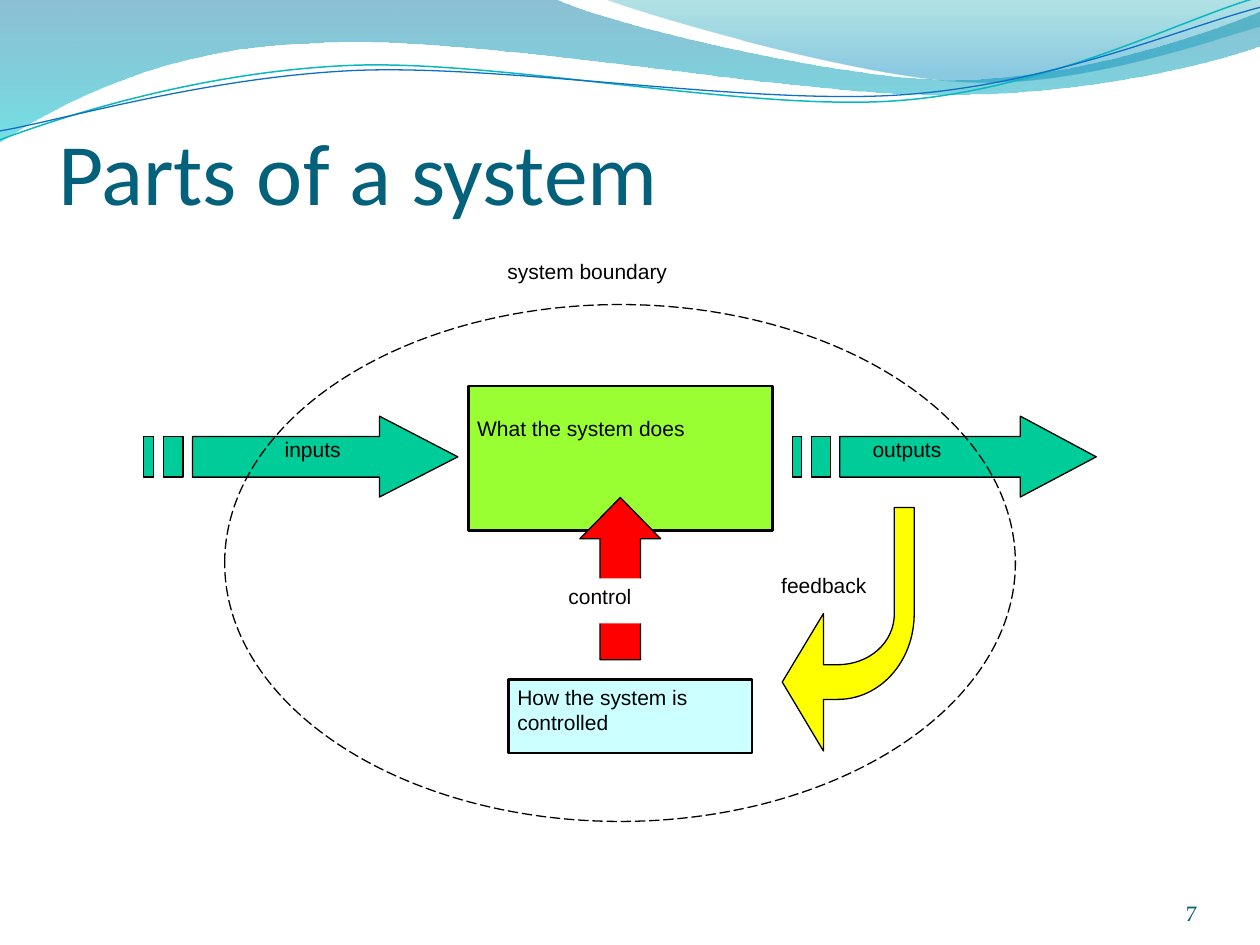
from pptx import Presentation
from pptx.dml.color import RGBColor
from pptx.enum.dml import MSO_LINE as Dash
from pptx.enum.shapes import MSO_SHAPE as Kind
from pptx.enum.text import MSO_ANCHOR as Anchor, MSO_AUTO_SIZE as Auto, PP_ALIGN as Align
from pptx.oxml.ns import qn
from pptx.util import Cm, Pt
from lxml import etree

deck = Presentation()
deck.slide_width, deck.slide_height = Cm(25.4), Cm(19.05)
slide = deck.slides.add_slide(deck.slide_layouts[5])
shapes = slide.shapes
rgb = RGBColor.from_string


def paint(shape, fill=None, line=None, width=0.75):
    shape.shadow.inherit = False
    if fill:
        shape.fill.solid()
        shape.fill.fore_color.rgb = rgb(fill)
    else:
        shape.fill.background()
    if line:
        shape.line.color.rgb = rgb(line)
        shape.line.width = Pt(width)
    else:
        shape.line.fill.background()
    return shape


def trace(*outlines, close=True):
    """Each outline lists points (x, y) and cubic curves (x1, y1, x2, y2, x, y) in cm."""
    pen, sizes = None, []
    for first, *steps in outlines:
        start = [Cm(v) for v in first]
        if pen is None:
            pen = shapes.build_freeform(*start)
        else:
            pen.move_to(*start)
        spots = []
        for step in steps:
            spots += [(Cm(x), Cm(y)) for x, y in zip(step[::2], step[1::2])]
            sizes.append(len(step) // 2)
        pen.add_line_segments(spots, close=close)
    shape = pen.convert_to_shape()
    # Join the three points of each curve into one cubic segment
    lines = iter(list(shape._element.iter(qn("a:lnTo"))))
    for size in sizes:
        group = [next(lines) for _ in range(size)]
        if size == 3:
            curve = etree.Element(qn("a:cubicBezTo"))
            group[0].addprevious(curve)
            for line in group:
                curve.append(line[0])
                line.getparent().remove(line)
    return shape


# Waves along the top
waves = [
    ([(0, 0), (11.18, -0.03), (12.09, 0.43, 16.87, 1.6, 19.25, 1.6),
      (21.67, 1.6, 24.33, 0.66, 25.4, 0.23), (25.43, 0.91),
      (24.97, 1.12, 22.1, 1.93, 18.95, 1.91), (15.8, 1.91, 9.7, 0.71, 6.53, 0.86),
      (3.28, 0.91, 1.17, 2.11, -0.03, 2.87)],
     [(0, "0074A1", 45), (1, "00C6CF", 55)]),
    ([(12.17, -0.03), (12.93, 0.28, 17.32, 1.57, 19.53, 1.65),
      (21.74, 1.75, 24.41, 0.81, 25.4, 0.53), (25.4, 0)],
     [(0, "00A1A9", 30), (0.8, "008BBF", 45)]),
]
for outline, stops in waves:
    wave = paint(trace(outline))
    wave.fill.gradient()
    wave.fill.gradient_angle = 270
    for stop, (place, color, alpha) in zip(wave.fill.gradient_stops, stops):
        stop.position = place
        stop.color.rgb = rgb(color)
    # Transparency of the stops
    tints = wave.fill._xPr.iter(qn("a:srgbClr"))
    for tint, (place, color, alpha) in zip(tints, stops):
        etree.SubElement(tint, qn("a:alpha"), val=str(alpha * 1000))

strands = [
    ([(0, 2.82), (1.22, 2.36, 4.01, 1.45, 7.04, 1.32),
      (10.03, 1.19, 15.06, 2.26, 18.11, 2.03),
      (21.16, 1.8, 23.83, 0.38, 25.35, -0.05)], "0AB8BF", 0.85),
    ([(0, 2.64), (1.19, 2.44, 4.17, 1.55, 7.19, 1.42),
      (10.24, 1.3, 15.16, 2.13, 18.21, 1.91),
      (21.23, 1.7, 23.9, 0.53, 25.4, 0.15)], "0F6FC6", 0.75),
]
for outline, color, width in strands:
    paint(trace(outline, close=False), None, color, width)

# Title
title = shapes.title
title.left, title.top, title.width, title.height = Cm(1.17), Cm(1.32), Cm(22.86), Cm(3.18)
frame = title.text_frame
frame.text = "Parts of a system"
frame.auto_size = Auto.NONE
frame.vertical_anchor = Anchor.BOTTOM
frame.margin_left = frame.margin_right = frame.margin_bottom = 0
head = frame.paragraphs[0]
head.alignment = Align.LEFT
head.font.size, head.font.name = Pt(50), "Calibri"
head.font.color.rgb = rgb("04617B")

# Main box and control arrow
does = paint(shapes.add_shape(Kind.RECTANGLE, Cm(9.44), Cm(7.78), Cm(6.13), Cm(2.91)),
             "99FF33", "000000", 1.5)
rise = paint(shapes.add_shape(Kind.UP_ARROW, Cm(11.69), Cm(10.03), Cm(1.63), Cm(3.27)),
             "FF0000", "000000")
rise.adjustments[0], rise.adjustments[1] = 0.5, 0.51

# Striped input and output arrows: body, neck, tip, then the two bars
top, bot = 8.8, 9.62
for body, neck, tip, bars in [
    (3.88, 7.65, 9.23, [(3.3, 3.69), (2.9, 3.1)]),
    (16.93, 20.57, 22.1, [(16.36, 16.74), (15.98, 16.16)]),
]:
    arrow = [(neck, 8.39), (neck, top), (body, top), (body, bot),
             (neck, bot), (neck, 10.02), (tip, 9.21)]
    stripes = [[(a, top), (a, bot), (b, bot), (b, top)] for a, b in bars]
    paint(trace(arrow, *stripes), "00CC99", "000000")

# Control box, feedback arrow and boundary
how = paint(shapes.add_shape(Kind.RECTANGLE, Cm(10.25), Cm(13.7), Cm(4.91), Cm(1.48)),
            "CCFFFF", "000000", 1.5)
bend = [(15.77, 13.75), (16.6, 15.14), (16.6, 14.1), (16.89, 14.1),
        (17.74, 14.1, 18.43, 13.34, 18.43, 12.37), (18.43, 10.23), (18.03, 10.23),
        (18.03, 12.37), (18.03, 12.95, 17.53, 13.4, 16.89, 13.4),
        (16.6, 13.4), (16.6, 12.37)]
paint(trace(bend), "FFFF00", "000000")
bound = paint(shapes.add_shape(Kind.OVAL, Cm(4.53), Cm(6.14), Cm(15.94), Cm(10.42)),
              None, "000000")
bound.line.dash_style = Dash.LONG_DASH

# Words in the boxes and labels
notes = [(does, "What the system does", 0.6), (how, "How the system is controlled", 0.1)]
for text, left, y, width in [
    ("inputs", 5.56, 8.71, 2.03),
    ("outputs", 17.41, 8.71, 2.46),
    ("feedback", 15.57, 11.45, 3.07),
    ("control", 11.28, 11.66, 2.67),
    ("system boundary", 10.05, 5.12, 5.51),
]:
    label = shapes.add_textbox(Cm(left), Cm(y), Cm(width), Cm(0.91))
    if text == "control":
        paint(label, "FFFFFF")
    notes.append((label, text, 0.1))
for shape, text, inset in notes:
    frame = shape.text_frame
    frame.text = text
    frame.word_wrap = True
    frame.vertical_anchor = Anchor.TOP
    frame.margin_left = frame.margin_right = Cm(0.18)
    frame.margin_top, frame.margin_bottom = Cm(inset), Cm(0.1)
    para = frame.paragraphs[0]
    para.alignment = Align.LEFT
    para.font.size, para.font.name = Pt(12), "Arial"
    para.font.color.rgb = rgb("000000")

# Page number
page = shapes.add_textbox(Cm(22.02), Cm(17.65), Cm(2.11), Cm(1.02)).text_frame
page.text = "7"
page.word_wrap = True
page.vertical_anchor = Anchor.BOTTOM
page.margin_left = page.margin_right = page.margin_top = page.margin_bottom = 0
para = page.paragraphs[0]
para.alignment = Align.RIGHT
para.font.size, para.font.name = Pt(12), "TeX Gyre Pagella"
para.font.color.rgb = rgb("045D75")

deck.save("out.pptx")
